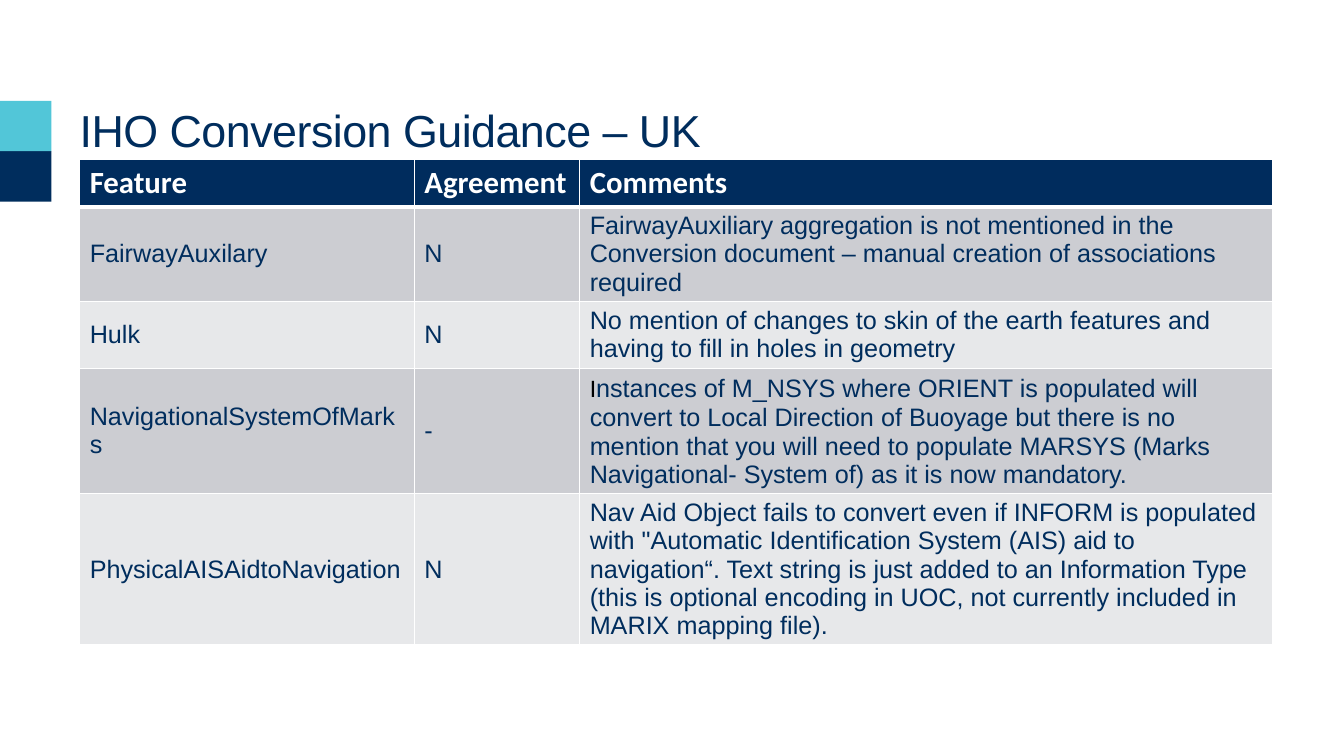
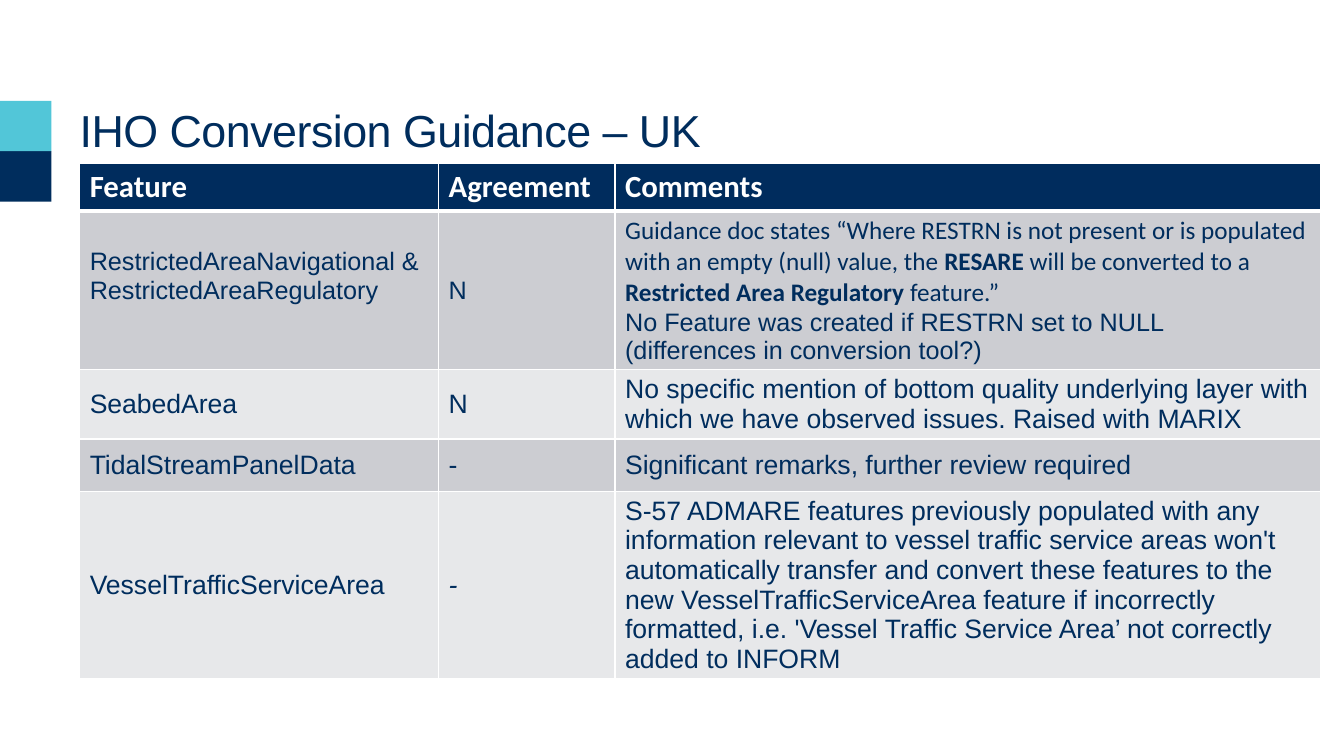
from itertools import islice

from lxml.etree import SubElement
from pptx import Presentation
from pptx.dml.color import RGBColor
from pptx.enum.shapes import MSO_SHAPE as Shape
from pptx.enum.text import MSO_ANCHOR as Anchor, MSO_AUTO_SIZE as AutoSize, PP_ALIGN as Align
from pptx.oxml.ns import qn
from pptx.util import Inches, Pt

NAVY = RGBColor(0x00, 0x2D, 0x5D)
HEADER_NAVY = RGBColor(0x00, 0x2C, 0x5D)
TEAL = RGBColor(0x52, 0xC6, 0xD8)
DARK_ROW = RGBColor(0xCC, 0xCD, 0xD2)
LIGHT_ROW = RGBColor(0xE7, 0xE8, 0xEA)
WHITE = RGBColor(0xFF, 0xFF, 0xFF)
BLACK = RGBColor(0x00, 0x00, 0x00)

TITLE = "IHO Conversion Guidance – UK"
HEADER = ("Feature", "Agreement", "Comments")
LEFT = 0.79

# Table content: a line break starts a paragraph, bars enclose a span of its own
TABLES = [
    {
        "top": 1.58,
        "columns": (3.32, 1.64, 6.87),
        "heights": (0.45, 0.45, 0.66, 0.89, 0.89),
        "sizes": (18, 18, 18, 18),
        "rows": [
            ("FairwayAuxilary", "N",
             "FairwayAuxiliary aggregation is not mentioned in the Conversion document – "
             "manual creation of associations required"),
            ("Hulk", "N",
             "No mention of changes to skin of the earth features and having to fill in "
             "holes in geometry"),
            ("NavigationalSystemOfMarks", "-",
             "|I|nstances of M_NSYS where ORIENT is populated will convert to Local "
             "Direction of Buoyage but there is no mention that you will need to populate "
             "MARSYS (Marks Navigational- System of) as it is now mandatory."),
            ("PhysicalAISAidtoNavigation", "N",
             "Nav Aid Object fails to convert even if INFORM is populated with \"Automatic "
             "Identification System (AIS) aid to navigation“. Text string is just added to "
             "an Information Type (this is optional encoding in UOC, not currently included "
             "in MARIX mapping file)."),
        ],
    },
    {
        "top": 1.62,
        "columns": (3.56, 1.75, 7),
        "heights": (0.45, 0.52, 0.52, 0.52, 0.52),
        "sizes": (18, 19, 19, 19),
        "rows": [
            ("RestrictedAreaNavigational &\nRestrictedAreaRegulatory", "N",
             "Guidance doc states “Where RESTRN is not present or is populated with an empty "
             "(null) value, the |RESARE| will be converted to a |Restricted Area Regulatory| "
             "feature.”\nNo Feature was created if RESTRN set to NULL\n"
             "(differences in conversion tool?)"),
            ("SeabedArea", "N",
             "No specific mention of bottom quality underlying layer with which we have "
             "observed issues. Raised with MARIX"),
            ("TidalStreamPanelData", "-", "Significant remarks, further review required"),
            ("VesselTrafficServiceArea", "-",
             "S-57 ADMARE features previously populated with any information relevant to "
             "vessel traffic service areas won't automatically transfer and convert these "
             "features to the new VesselTrafficServiceArea feature if incorrectly formatted, "
             "i.e. 'Vessel Traffic Service Area’ not correctly added to INFORM"),
        ],
    },
]


def set_font(font, name, size, color, bold=False):
    font.name, font.size, font.bold = name, Pt(size), bold
    font.color.rgb = color


def fill_cell(cell, text, fill, name, size, color, bold=False):
    cell.fill.solid()
    cell.fill.fore_color.rgb = fill
    frame = cell.text_frame
    for index, line in enumerate(text.split("\n")):
        para = frame.add_paragraph() if index else frame.paragraphs[0]
        set_font(para.font, name, size, color, bold)
        for part in filter(None, line.split("|")):
            para.add_run().text = part


deck = Presentation()
deck.slide_width, deck.slide_height = Inches(13.33), Inches(7.5)
layout = deck.slide_layouts.get_by_name("Title Only")

# Shared title position, clear of the tables
title = layout.placeholders[0]
title.left, title.top = Inches(LEFT), Inches(1.02)
title.width, title.height = Inches(8.63), Inches(0.54)
frame = title.text_frame
frame.margin_left = frame.margin_right = frame.margin_top = frame.margin_bottom = 0
frame.vertical_anchor = Anchor.TOP
frame.word_wrap = True
frame.auto_size = AutoSize.NONE

pages = [deck.slides.add_slide(layout) for _ in TABLES]

# Shared side bands, moved to the layout
for top, color in ((1.5, NAVY), (1, TEAL)):
    band = pages[0].shapes.add_shape(
        Shape.RECTANGLE, 0, Inches(top), Inches(0.51), Inches(0.5))
    band.shadow.inherit = False
    band.fill.solid()
    band.fill.fore_color.rgb = color
    band.line.fill.background()
    layout.shapes.element.append(band.element)

# Title and table of each page
grids = []
for page, content in zip(pages, TABLES):
    heading = page.shapes.title
    heading.text_frame.text = TITLE
    para = heading.text_frame.paragraphs[0]
    para.alignment = Align.LEFT
    set_font(para.font, "Arial", 32, NAVY)
    for properties in heading.element.iter(qn("a:defRPr")):
        properties.set("spc", "-40")

    columns, heights = content["columns"], content["heights"]
    holder = page.shapes.add_table(
        len(heights), len(columns), Inches(LEFT), Inches(content["top"]),
        Inches(sum(columns)), Inches(sum(heights)))
    grid = holder.table
    for column, width in zip(grid.columns, columns):
        column.width = Inches(width)
    for row, height in zip(grid.rows, heights):
        row.height = Inches(height)

    for cell, text in zip(grid.rows[0].cells, HEADER):
        fill_cell(cell, text, HEADER_NAVY, "Calibri", 22, WHITE, bold=True)
    for number, (texts, size) in enumerate(zip(content["rows"], content["sizes"]), 1):
        fill = DARK_ROW if number % 2 else LIGHT_ROW
        for cell, text in zip(grid.rows[number].cells, texts):
            fill_cell(cell, text, fill, "Arial", size, NAVY)
            cell.vertical_anchor = Anchor.MIDDLE

    # Thick white rule under the header row
    header_cells = list(islice(holder.element.iter(qn("a:tcPr")), len(HEADER)))
    for properties in header_cells:
        rule = SubElement(properties, qn("a:lnB"), w=str(Pt(3)))
        SubElement(SubElement(rule, qn("a:solidFill")), qn("a:srgbClr"), val=str(WHITE))
        properties.insert(0, rule)
    grids.append(grid)

# Spans and cells that differ from their row
marks, restricted = grids
initial = marks.cell(3, 2).text_frame.paragraphs[0].runs[0]
set_font(initial.font, "Calibri", 18, BLACK)

quote = restricted.cell(1, 2).text_frame.paragraphs[0]
quote.font.name = "Calibri"
for span in quote.runs[1::2]:
    span.font.bold = True

restricted.cell(1, 0).margin_bottom = Inches(0.33)
restricted.cell(4, 1).text_frame.paragraphs[0].font.italic = True

deck.save("out.pptx")
